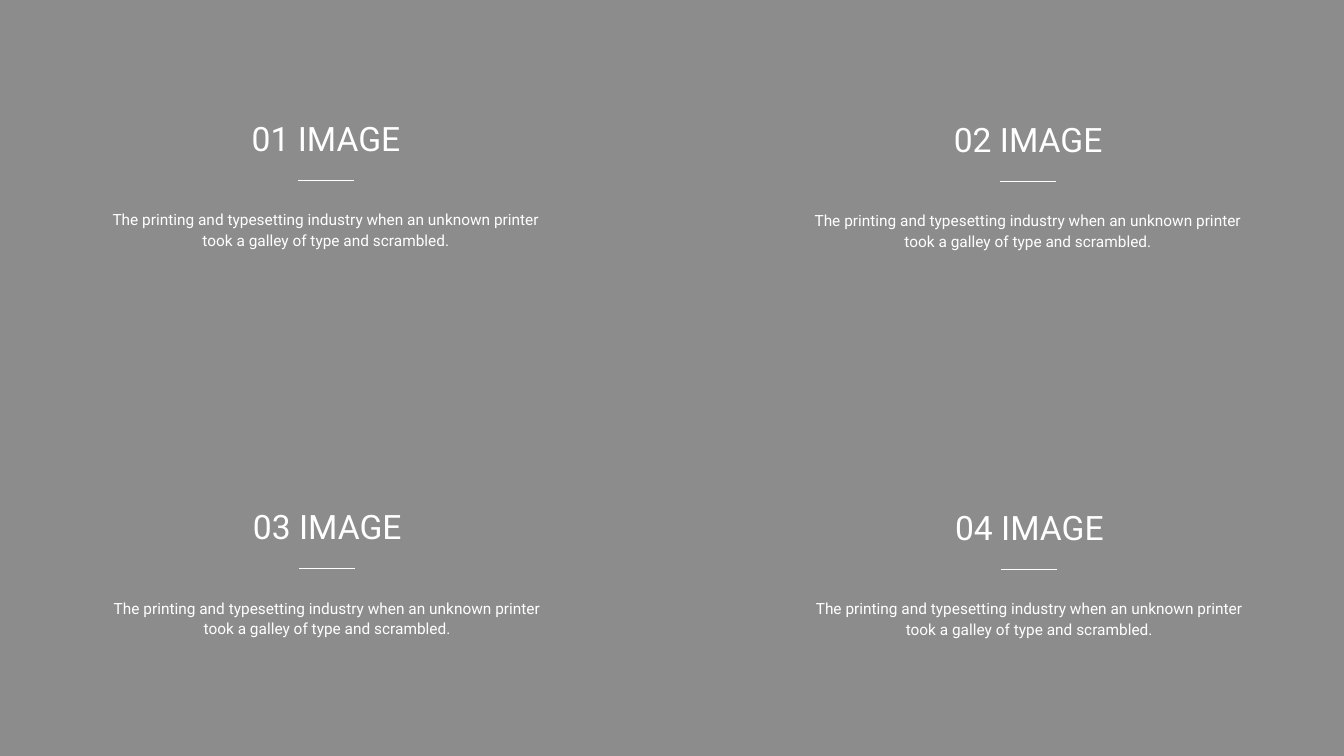
from lxml.etree import SubElement
from pptx import Presentation
from pptx.dml.color import RGBColor
from pptx.enum.shapes import MSO_CONNECTOR, MSO_SHAPE
from pptx.enum.text import MSO_AUTO_SIZE, PP_ALIGN
from pptx.oxml.ns import qn
from pptx.util import Pt

# Content, row by row
BODY = ("The printing and typesetting industry when an unknown printer "
        "took a galley of type and scrambled.")
CARDS = [
    [("01 IMAGE", BODY), ("02 IMAGE", BODY)],
    [("03 IMAGE", BODY), ("04 IMAGE", BODY)],
]

THEME = {
    "white": RGBColor(0xFF, 0xFF, 0xFF),
    "veil": RGBColor(0x40, 0x40, 0x40),
    "opaque": 60,
    "font": "Roboto",
    "head": 24,
    "body": 11,
    "rule": 1,
}

# Layout in points
WIDE, HIGH = 960, 540
MID, TOP = 232.9, 80.6            # centre and top of the first card
STEP_X, STEP_Y = 501.5, 277.3     # card pitch
SKEW_X, SKEW_Y = 0.9, 0.6         # slight drift per row and per column
HEAD_W, HEAD_H = 153.4, 36
BODY_W, BODY_H = 327.6, 36.7
RULE_W, RULE_DY, BODY_DY = 40, 48.3, 64.9


def add_veil(slide):
    veil = slide.shapes.add_shape(MSO_SHAPE.RECTANGLE, 0, 0, Pt(WIDE), Pt(HIGH))
    veil.shadow.inherit = False
    veil.line.fill.background()
    veil.fill.solid()
    veil.fill.fore_color.rgb = THEME["veil"]
    tint = veil.fill._xPr.find(qn("a:solidFill"))[0]
    SubElement(tint, qn("a:alpha"), val=str(THEME["opaque"] * 1000))


def add_text(slide, text, mid, top, wide, high, size, space=1.0):
    box = slide.shapes.add_textbox(Pt(mid - wide / 2), Pt(top), Pt(wide), Pt(high))
    frame = box.text_frame
    frame.word_wrap = True
    frame.auto_size = MSO_AUTO_SIZE.SHAPE_TO_FIT_TEXT
    para = frame.paragraphs[0]
    para.alignment = PP_ALIGN.CENTER
    para.line_spacing = space
    run = para.add_run()
    run.text = text
    for key, value in {"name": THEME["font"], "size": Pt(size)}.items():
        setattr(run.font, key, value)
    run.font.color.rgb = THEME["white"]


def add_rule(slide, mid, y):
    half = RULE_W / 2
    rule = slide.shapes.add_connector(
        MSO_CONNECTOR.STRAIGHT, Pt(mid - half), Pt(y), Pt(mid + half), Pt(y))
    rule.line.color.rgb = THEME["white"]
    rule.line.width = Pt(THEME["rule"])
    SubElement(rule._element.spPr, qn("a:effectLst"))


def main():
    deck = Presentation()
    deck.slide_width, deck.slide_height = Pt(WIDE), Pt(HIGH)
    slide = deck.slides.add_slide(deck.slide_layouts[6])

    # Grey veil over the whole slide
    add_veil(slide)

    # Four cards: heading, rule, body
    for row, line in enumerate(CARDS):
        for col, (head, body) in enumerate(line):
            mid = MID + col * STEP_X + row * SKEW_X
            top = TOP + row * STEP_Y + col * SKEW_Y
            add_text(slide, head, mid, top, HEAD_W, HEAD_H, THEME["head"])
            add_rule(slide, mid, top + RULE_DY)
            add_text(slide, body, mid, top + BODY_DY, BODY_W, BODY_H,
                     THEME["body"], 1.1)

    deck.save("out.pptx")


if __name__ == "__main__":
    main()
